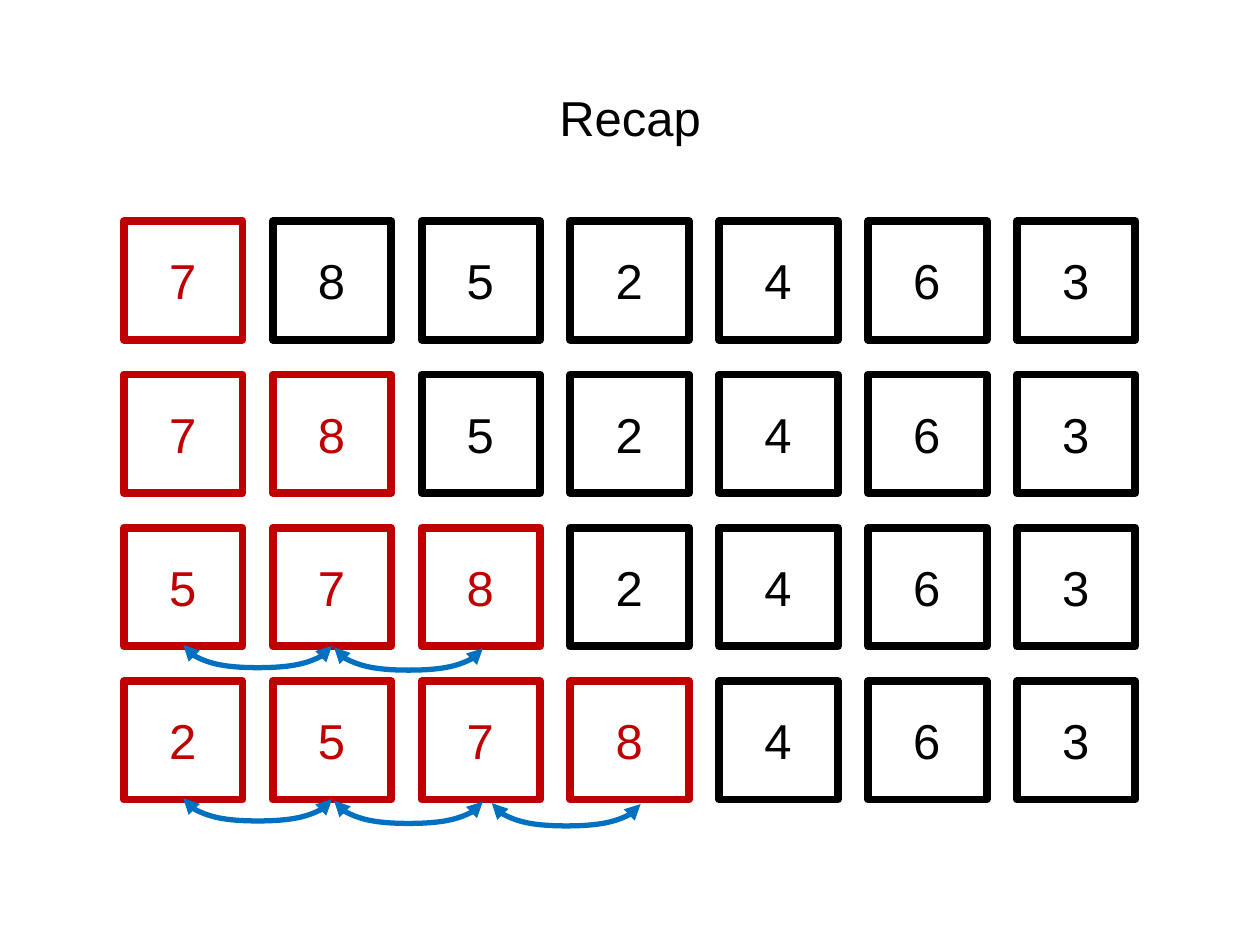
from dataclasses import dataclass
from typing import Any

import lxml.etree
import pptx
import pptx.dml.color
import pptx.enum.shapes
import pptx.enum.text
import pptx.oxml.ns
import pptx.util

Cm = pptx.util.Cm
Pt = pptx.util.Pt
RGB = pptx.dml.color.RGBColor
qn = pptx.oxml.ns.qn


@dataclass(frozen=True)
class Theme:
    font: str = "Arial"
    text_size: float = 28
    unsorted: str = "000000"
    sorted: str = "C00000"
    shift: str = "0070C0"
    square_line: float = 4.5
    shift_line: float = 3


@dataclass(frozen=True)
class Grid:
    left: float = 2.5
    top: float = 4.46
    column_pitch: float = 3.0
    row_pitch: float = 3.09
    square: float = 2.39
    digit_width: float = 1.07
    digit_height: float = 1.45


@dataclass(frozen=True)
class Step:
    digits: str
    sorted_count: int
    shifts: int = 0


THEME = Theme()
GRID = Grid()
STEPS = (
    Step("7852463", 1),
    Step("7852463", 2),
    Step("5782463", 3, shifts=2),
    Step("2578463", 4, shifts=3),
)
SHIFT_NUDGES = (0, 0.04, 0.22)
SHIFT_DROP = 0.02
SHIFT_DEPTH = 0.46


def apply_format(target: Any, values: dict[str, Any]) -> None:
    for attribute, value in values.items():
        setattr(target, attribute, value)


def add_text(shapes: Any, text: str, box: tuple[float, ...], color: str,
             frame_format: dict[str, Any], alignment: Any = None) -> None:
    frame = shapes.add_textbox(*map(Cm, box)).text_frame
    apply_format(frame, frame_format)
    paragraph = frame.paragraphs[0]
    paragraph.alignment = alignment
    run = paragraph.add_run()
    run.text = text
    apply_format(run.font, {"name": THEME.font, "size": Pt(THEME.text_size)})
    run.font.color.rgb = RGB.from_string(color)


def add_square(shapes: Any, left: float, top: float, color: str) -> None:
    square = shapes.add_shape(
        pptx.enum.shapes.MSO_SHAPE.RECTANGLE,
        Cm(left), Cm(top), Cm(GRID.square), Cm(GRID.square),
    )
    square.shadow.inherit = False
    square.fill.background()
    square.line.color.rgb = RGB.from_string(color)
    square.line.width = Pt(THEME.square_line)


def add_digit(shapes: Any, digit: str, left: float, top: float, color: str) -> None:
    box = (
        left + (GRID.square - GRID.digit_width) / 2,
        top + (GRID.square - GRID.digit_height) / 2,
        GRID.digit_width,
        GRID.digit_height,
    )
    add_text(shapes, digit, box, color, {
        "word_wrap": False,
        "auto_size": pptx.enum.text.MSO_AUTO_SIZE.SHAPE_TO_FIT_TEXT,
    })


def add_shift(shapes: Any, column: int, top: float) -> None:
    start_x = GRID.left + column * GRID.column_pitch + GRID.square / 2 + SHIFT_NUDGES[column]
    start_y = top + GRID.square - 0.03 + 0.05 * column
    middle_x = start_x + GRID.column_pitch / 2
    middle_y = start_y + SHIFT_DROP / 2
    arrow = shapes.add_connector(
        pptx.enum.shapes.MSO_CONNECTOR.CURVE,
        Cm(middle_x - SHIFT_DROP / 2), Cm(middle_y - GRID.column_pitch / 2),
        Cm(middle_x + SHIFT_DROP / 2), Cm(middle_y + GRID.column_pitch / 2),
    )
    arrow.line.color.rgb = RGB.from_string(THEME.shift)
    arrow.line.width = Pt(THEME.shift_line)
    properties = arrow._element.spPr
    transform = properties.find(qn("a:xfrm"))
    for attribute, value in {"rot": "16200000", "flipH": "1"}.items():
        transform.set(attribute, value)
    guides = properties.find(qn("a:prstGeom")).get_or_add_avLst()
    bend = round(SHIFT_DEPTH / SHIFT_DROP * 100000)
    lxml.etree.SubElement(guides, qn("a:gd"), name="adj1", fmla=f"val {bend}")
    outline = properties.find(qn("a:ln"))
    for end in ("a:headEnd", "a:tailEnd"):
        lxml.etree.SubElement(outline, qn(end), type="triangle")
    lxml.etree.SubElement(properties, qn("a:effectLst"))


def add_step(slide: Any, step: Step, top: float) -> None:
    row = slide.shapes.add_group_shape().shapes
    for column, digit in enumerate(step.digits):
        left = GRID.left + column * GRID.column_pitch
        color = THEME.sorted if column < step.sorted_count else THEME.unsorted
        add_square(row, left, top, color)
        add_digit(row, digit, left, top, color)


def main() -> None:
    deck = pptx.Presentation()
    apply_format(deck, {"slide_width": Cm(25.4), "slide_height": Cm(19.05)})
    slide = deck.slides.add_slide(deck.slide_layouts[6])
    add_text(
        slide.shapes, "Recap", (1.27, 0.76, 22.86, 3.18), THEME.unsorted,
        {"word_wrap": True, "vertical_anchor": pptx.enum.text.MSO_ANCHOR.MIDDLE},
        pptx.enum.text.PP_ALIGN.CENTER,
    )
    tops = [GRID.top + row * GRID.row_pitch for row in range(len(STEPS))]
    for step, top in zip(STEPS, tops):
        add_step(slide, step, top)
    for step, top in zip(STEPS, tops):
        for column in range(step.shifts):
            add_shift(slide.shapes, column, top)
    deck.save("out.pptx")


if __name__ == "__main__":
    main()
